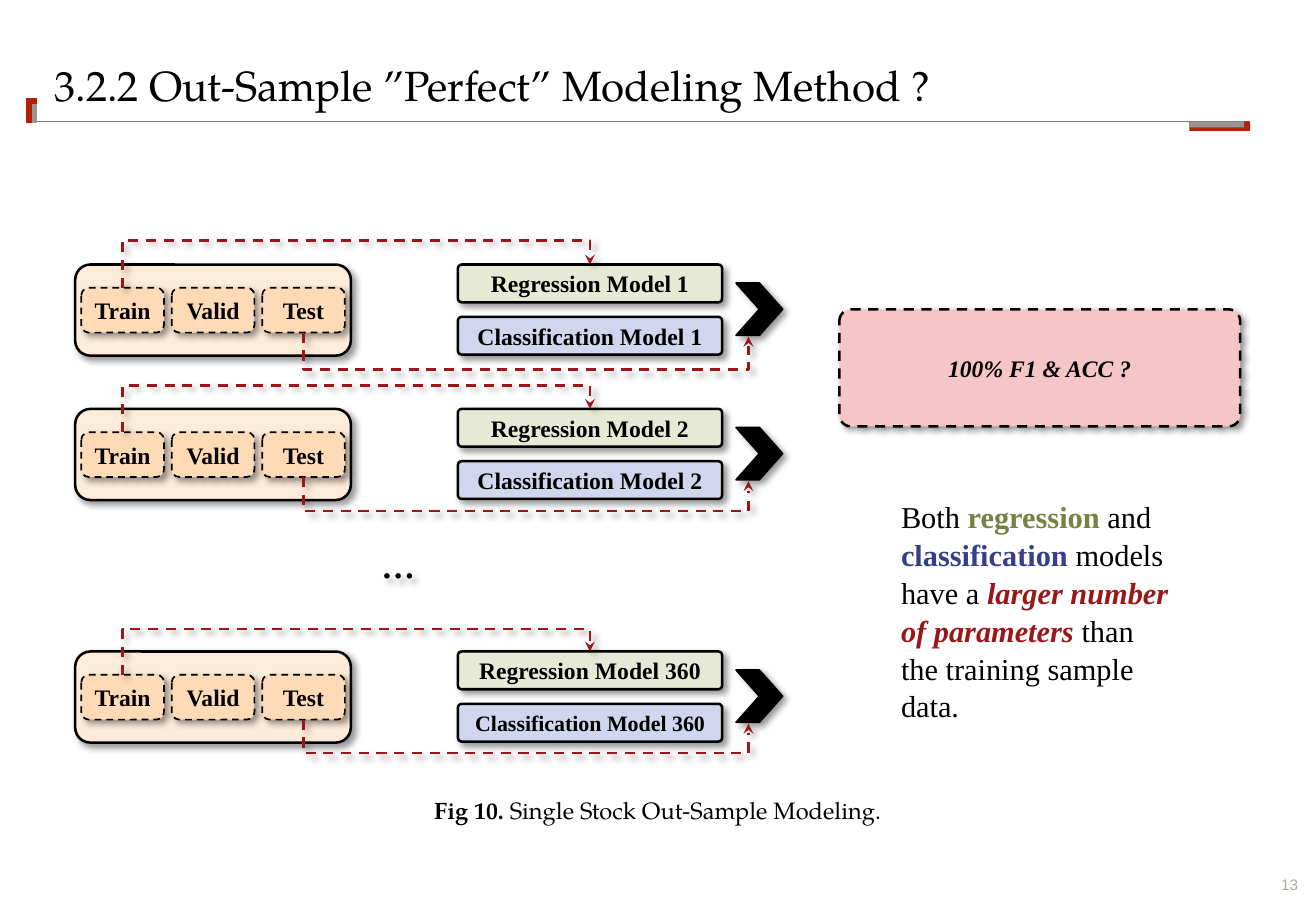
import pptx
import pptx.util
import pptx.dml.color
import pptx.enum.dml
import pptx.enum.shapes
import pptx.enum.text
import pptx.oxml
import pptx.oxml.ns

Pt = pptx.util.Pt
RGB = pptx.dml.color.RGBColor.from_string
Dash = pptx.enum.dml.MSO_LINE
Kind = pptx.enum.shapes.MSO_SHAPE
Link = pptx.enum.shapes.MSO_CONNECTOR
Align = pptx.enum.text.PP_ALIGN
Anchor = pptx.enum.text.MSO_ANCHOR
NS = pptx.oxml.ns.nsdecls("a")
qn = pptx.oxml.ns.qn

HUE = {
    "black": "000000", "rule": "808080", "gray": "969696", "page": "ADABA1",
    "brick": "B42100", "red": "9B1717", "pink": "F6C5C5", "sage": "E6EAD5",
    "lilac": "D1D5ED", "cream": "FEECDA", "peach": "FEDAB6",
    "olive": "778242", "navy": "364086",
}
SERIF = "Times New Roman"
BOOK = "TeX Gyre Pagella"


def write(shape, text, size=14, font=SERIF, hue="black", bold=False, ital=False,
          align=Align.CENTER, anchor=Anchor.MIDDLE, pad=(5.76, 5.76)):
    """Add one run to the shape's first paragraph and format it."""
    frame = shape.text_frame
    frame.word_wrap = True
    frame.vertical_anchor = anchor
    frame.margin_left = frame.margin_right = Pt(pad[0])
    frame.margin_top = frame.margin_bottom = Pt(pad[1])
    para = frame.paragraphs[0]
    para.alignment = align
    run = para.add_run()
    run.text = text
    run.font.size, run.font.name = Pt(size), font
    run.font.bold, run.font.italic = bold, ital
    run.font.color.rgb = RGB(HUE[hue])


def box(kind, x, y, w, h, fill=None, width=0, dash=False, shade=True):
    """Add a preset shape with fill, black outline and soft shadow."""
    shape = slide.shapes.add_shape(kind, Pt(x), Pt(y), Pt(w), Pt(h))
    if fill:
        shape.fill.solid()
        shape.fill.fore_color.rgb = RGB(HUE[fill])
    else:
        shape.fill.background()
    if width:
        shape.line.color.rgb = RGB(HUE["black"])
        shape.line.width = Pt(width)
        if dash:
            shape.line.dash_style = Dash.DASH
    else:
        shape.line.fill.background()
    shape.shadow.inherit = False
    if shade:
        shape._element.spPr.find(qn("a:effectLst")).append(pptx.oxml.parse_xml(SHADOW))
    return shape


SHADOW = (f'<a:outerShdw {NS} blurRad="50800" dist="38100" dir="2700000" algn="tl" '
          f'rotWithShape="0"><a:srgbClr val="{HUE["black"]}"><a:alpha val="40000"/>'
          '</a:srgbClr></a:outerShdw>')

deck = pptx.Presentation()
deck.slide_width, deck.slide_height = Pt(780), Pt(540)
slide = deck.slides.add_slide(deck.slide_layouts[5])

# Title rule and corner marks
for x1, y1, x2, y2, hue, width in [
    (21.6, 72, 740.2, 72, "rule", 1),
    (18.7, 72.7, 18.7, 58.3, "brick", 6),
    (20.2, 72.7, 20.2, 61.9, "gray", 3),
]:
    rule = slide.shapes.add_connector(Link.STRAIGHT, Pt(x1), Pt(y1), Pt(x2), Pt(y2))
    rule.line.color.rgb = RGB(HUE[hue])
    rule.line.width = Pt(width)
    rule._element.spPr.append(pptx.oxml.parse_xml(f"<a:effectLst {NS}/>"))
box(Kind.RECTANGLE, 705, 72, 36, 5.6, "brick", shade=False)
box(Kind.RECTANGLE, 705, 72, 32.4, 3.6, "gray", shade=False)

# Title
title = slide.shapes.title
title.left, title.top, title.width, title.height = Pt(32.4), Pt(28.8), Pt(569.5), Pt(42.5)
title.text_frame.auto_size = pptx.enum.text.MSO_AUTO_SIZE.NONE
write(title, "3.2.2 Out-Sample ”Perfect” Modeling Method ?", size=25, font=BOOK,
      align=Align.LEFT, pad=(0, 0))

# Result box
goal = box(Kind.ROUNDED_RECTANGLE, 497.5, 183.4, 237.6, 69.4, "pink", 1.5, True)
goal.adjustments[0] = 0.1
write(goal, "100% F1 & ACC ?", bold=True, ital=True)

# One row per stock: data splits, two models, arrow, elbows
for num, top, size, upper, lower in [
    (1, 156.8, 14, 142.4, 219),
    (2, 242.4, 14, 228.5, 302.8),
    (360, 386.2, 13, 373, 446.4),
]:
    for name, gap, fill, points in [
        ("Regression", 0, "sage", 14),
        ("Classification", 31, "lilac", size),
    ]:
        model = box(Kind.ROUNDED_RECTANGLE, 271.4, top + gap, 156.6, 22.4, fill, 1.5)
        model.adjustments[0] = 0.1
        write(model, f"{name} Model {num}", size=points, bold=True)

    box(Kind.CHEVRON, 436.3, top + 11, 27.6, 31, "black", 1)
    box(Kind.ROUNDED_RECTANGLE, 44.6, top, 163.4, 54, "cream", 1.5)
    for col, name in enumerate(["Train", "Valid", "Test"]):
        split = box(Kind.ROUNDED_RECTANGLE, 48.2 + 53.6 * col, top + 13.8, 49, 26.6,
                    "peach", 1, True)
        write(split, name, bold=True)

    # Elbows stand on end, so each frame is turned about its centre
    for x1, y1, x2, y2, lane, turn, flip in [
        (72.7, top + 13.8, 349.7, top, upper, 90, "1"),
        (179.9, top + 40.4, 443.6, top + 42.8, lower, 270, "0"),
    ]:
        rise, span = abs(y2 - y1), x2 - x1
        left, head = (x1 + x2 - rise) / 2, (y1 + y2 - span) / 2
        elbow = slide.shapes.add_connector(
            Link.ELBOW, Pt(left), Pt(head), Pt(left + rise), Pt(head + span))
        elbow.line.color.rgb = RGB(HUE["red"])
        elbow.line.width = Pt(1.5)
        elbow.line.dash_style = Dash.DASH
        props = elbow._element.spPr
        frame = props.find(qn("a:xfrm"))
        frame.set("rot", str(turn * 60000))
        frame.set("flipH", "1")
        frame.set("flipV", flip)
        bend = round(abs(lane - y1) / rise * 100000)
        props.find(qn("a:prstGeom")).find(qn("a:avLst")).append(
            pptx.oxml.parse_xml(f'<a:gd {NS} name="adj1" fmla="val {bend}"/>'))
        props.find(qn("a:ln")).append(pptx.oxml.parse_xml(f'<a:tailEnd {NS} type="stealth"/>'))
        props.append(pptx.oxml.parse_xml(f"<a:effectLst {NS}>{SHADOW}</a:effectLst>"))

dots = box(Kind.ROUNDED_RECTANGLE, 44.6, 313.2, 383, 54)
write(dots, "···", size=20, bold=True)

# Remark
note = slide.shapes.add_textbox(Pt(527), Pt(290.9), Pt(177.8), Pt(138.2))
for text, hue, bold, ital in [
    ("Both ", "black", False, False),
    ("regression", "olive", True, False),
    (" and ", "black", False, False),
    ("classification", "navy", True, False),
    (" models have a ", "black", False, False),
    ("larger number of parameters ", "red", True, True),
    ("than the training sample data.", "black", False, False),
]:
    write(note, text, size=18, hue=hue, bold=bold, ital=ital, align=Align.LEFT,
          anchor=Anchor.TOP, pad=(7.2, 3.6))
note.text_frame.paragraphs[0].line_spacing = 1.04

# Caption and page number
label = slide.shapes.add_textbox(Pt(128.9), Pt(471.6), Pt(522), Pt(17.3))
for text, bold in [("Fig 10. ", True), ("Single Stock Out-Sample Modeling.", False)]:
    write(label, text, font=BOOK, bold=bold, anchor=Anchor.BOTTOM, pad=(0, 0))
page = slide.shapes.add_textbox(Pt(737.3), Pt(519.1), Pt(32), Pt(10.8))
write(page, "13", size=9, font="Arial", hue="page", align=Align.RIGHT,
      anchor=Anchor.BOTTOM, pad=(0, 0))

deck.save("out.pptx")
